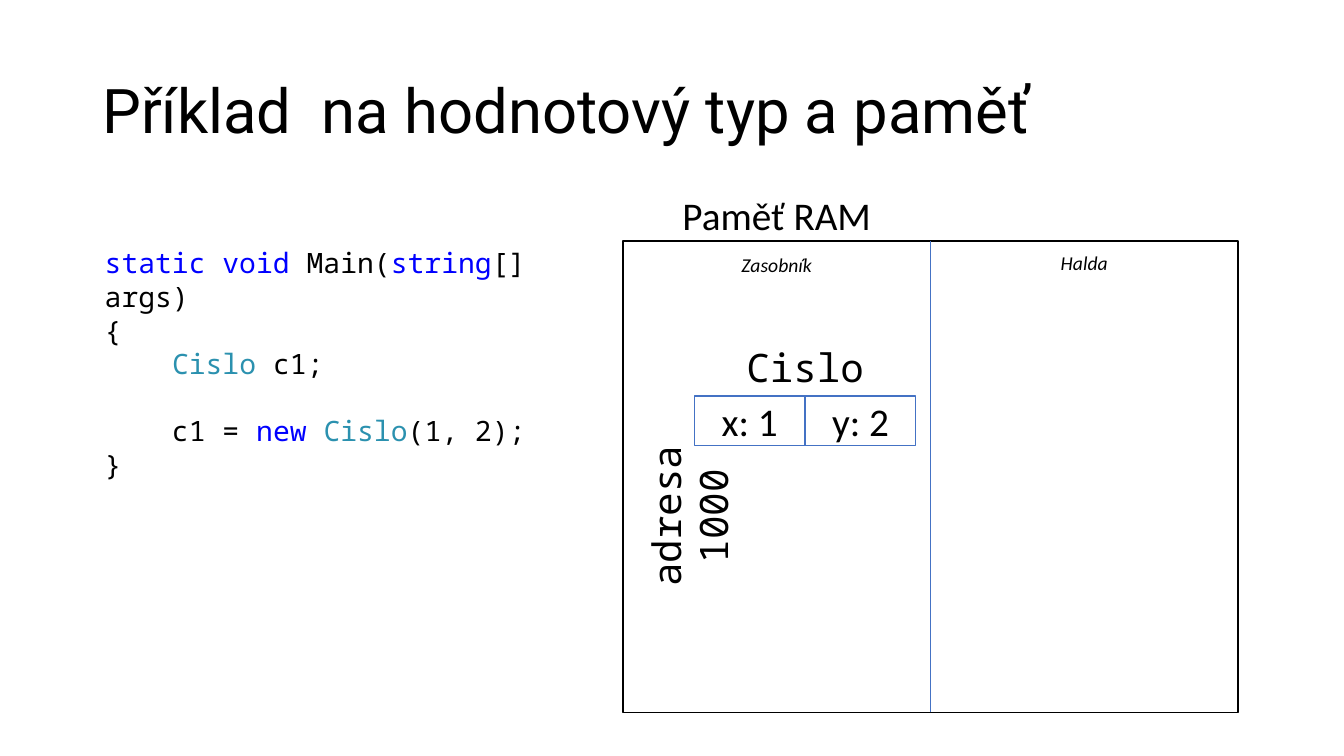
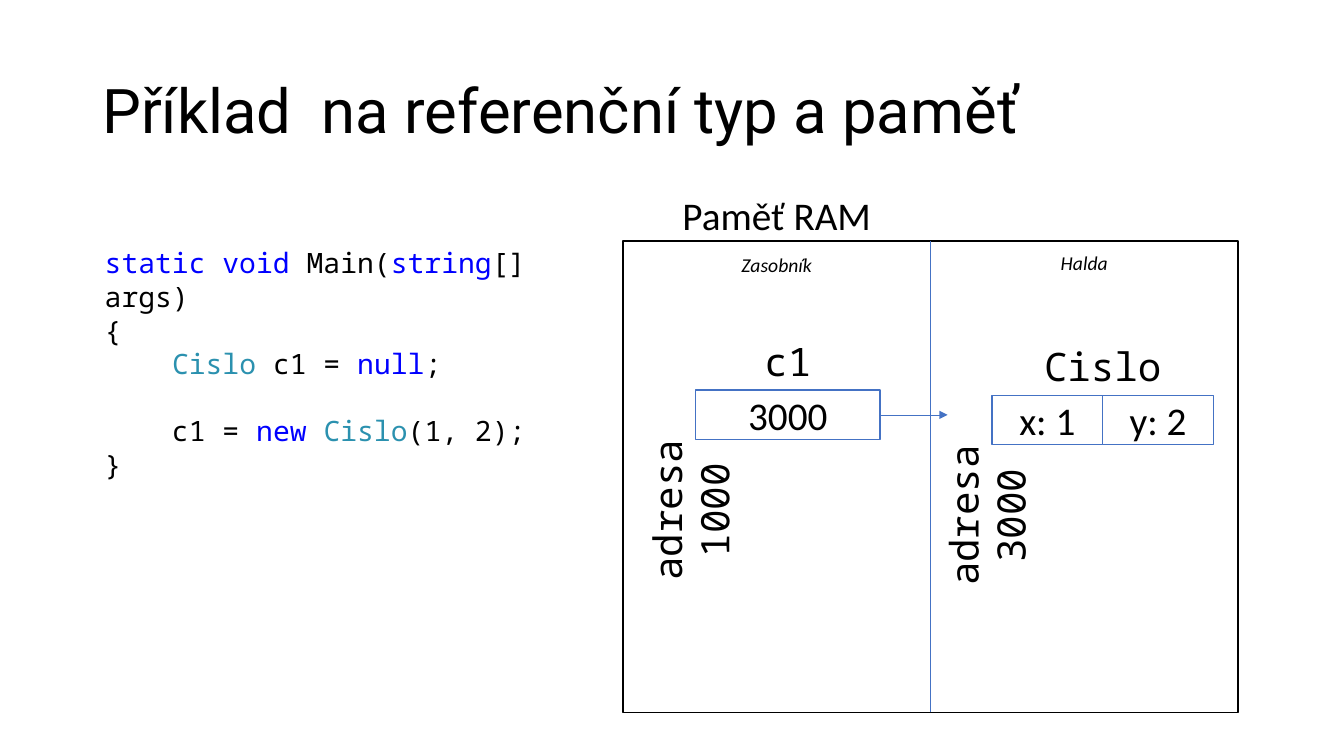
import pptx
import pptx.util
import pptx.dml.color
import pptx.enum.shapes
import pptx.enum.text
import pptx.oxml
import pptx.oxml.ns

Cm, Pt = pptx.util.Cm, pptx.util.Pt
RGBColor = pptx.dml.color.RGBColor
ALIGN = pptx.enum.text.PP_ALIGN
ANCHOR = pptx.enum.text.MSO_ANCHOR
RECT = pptx.enum.shapes.MSO_SHAPE.RECTANGLE
LINE = pptx.enum.shapes.MSO_CONNECTOR.STRAIGHT

BLACK = RGBColor(0x00, 0x00, 0x00)
WHITE = RGBColor(0xFF, 0xFF, 0xFF)
BLUE = RGBColor(0x44, 0x72, 0xC4)
KEY = RGBColor(0x00, 0x00, 0xFF)
TYPE = RGBColor(0x2B, 0x91, 0xAF)
BODY, MONO, HEAD = "Calibri", "Noto Sans Mono", "Roboto"

# Content: code lines are lists of (text, colour) pairs
START = [
    [("static void", KEY), (" Main(", BLACK), ("string", KEY), ("[] args)", BLACK)],
    [("{", BLACK)],
]
FINISH = [
    [("    c1 = ", BLACK), ("new ", KEY), ("Cislo", TYPE), ("(1, 2);", BLACK)],
    [("}", BLACK)],
]
PAGES = [
    {
        "title": "Příklad  na hodnotový typ a paměť",
        "code": [[("    ", BLACK), ("Cislo", TYPE), (" c1;", BLACK)]],
        # name, address, cells, left, top, cell width
        "items": [("Cislo", "adresa 1000", ["x: 1", "y: 2"], 17.5, 9.98, 2.79)],
        "arrow": False,
    },
    {
        "title": "Příklad  na referenční typ a paměť",
        "code": [[("    ", BLACK), ("Cislo", TYPE), (" c1 = ", BLACK),
                  ("null", KEY), (";", BLACK)]],
        "items": [
            ("c1", "adresa 1000", ["3000"], 17.53, 9.83, 4.65),
            ("Cislo", "adresa 3000", ["x: 1", "y: 2"], 25, 9.96, 2.79),
        ],
        "arrow": True,
    },
]

# Memory frame and item sizes in centimetres
LEFT, TOP, WIDTH, HEIGHT = 15.7, 6.07, 15.5, 11.88
CELL, LABEL, TURN = 1.25, 1.45, 6.9
ARROW = 1.7


def style(run, size, face, color=BLACK, slant=False):
    font = run.font
    font.size, font.name, font.italic = Pt(size), face, slant
    font.color.rgb = color


def write(slide, text, box, size, face, align=ALIGN.LEFT, slant=False):
    shape = slide.shapes.add_textbox(*map(Cm, box))
    frame = shape.text_frame
    frame.word_wrap = True
    frame.text = text
    para = frame.paragraphs[0]
    para.alignment = align
    style(para.runs[0], size, face, slant=slant)
    return shape


def draw_box(slide, box, color, text=""):
    shape = slide.shapes.add_shape(RECT, *map(Cm, box))
    shape.shadow.inherit = False
    shape.fill.solid()
    shape.fill.fore_color.rgb = WHITE
    shape.line.color.rgb = color
    shape.line.width = Pt(1)
    if text:
        frame = shape.text_frame
        frame.text = text
        frame.vertical_anchor = ANCHOR.MIDDLE
        para = frame.paragraphs[0]
        para.alignment = ALIGN.CENTER
        style(para.runs[0], 28, BODY)
    return shape


def draw_line(slide, ends, head=False):
    line = slide.shapes.add_connector(LINE, *map(Cm, ends))
    line.line.color.rgb = BLUE
    line.line.width = Pt(0.5)
    make = pptx.oxml.ns.qn
    if head:
        tip = line.line._get_or_add_ln().makeelement(make("a:tailEnd"), {"type": "triangle"})
        line.line._get_or_add_ln().append(tip)
    props = line._element.spPr
    props.append(props.makeelement(make("a:effectLst"), {}))
    return line


def write_code(slide, lines):
    shape = slide.shapes.add_textbox(Cm(2.39), Cm(TOP), Cm(13.26), Cm(5.38))
    frame = shape.text_frame
    frame.word_wrap = True
    rows = START + lines + FINISH
    for num, row in enumerate(rows):
        para = frame.add_paragraph() if num else frame.paragraphs[0]
        if row is FINISH[0]:
            para.space_before = Pt(24)
        for text, color in row:
            run = para.add_run()
            run.text = text
            style(run, 20, MONO, color)


def draw_frame(slide):
    frame = draw_box(slide, (LEFT, TOP, WIDTH, HEIGHT), BLACK)
    half = WIDTH / 2
    mid = LEFT + half
    split = draw_line(slide, (mid, TOP + HEIGHT, mid, TOP))
    split.begin_connect(frame, 2)
    split.end_connect(frame, 0)
    write(slide, "Paměť RAM", (16.95, 4.7, 14.6, LABEL), 28, BODY)
    for text, left, top in (("Zasobník", LEFT, 6.25), ("Halda", mid, 6.2)):
        write(slide, text, (left, top, half, 0.86), 14, BODY, ALIGN.CENTER, True)


def draw_item(slide, name, place, cells, left, top, width):
    span = width * len(cells)
    write(slide, name, (left, top - LABEL, span, LABEL), 28, MONO, ALIGN.CENTER)
    # The turned address is centred below and to the left of the cells
    across, down = left - LABEL / 2, top + CELL + 1.78
    note = write(slide, place, (across - TURN / 2, down - LABEL / 2, TURN, LABEL),
                 28, MONO, ALIGN.CENTER)
    note.rotation = 270
    return [draw_box(slide, (left + num * width, top, width, CELL), BLUE, text)
            for num, text in enumerate(cells)]


def build(deck, page):
    slide = deck.slides.add_slide(deck.slide_layouts[6])
    title = write(slide, page["title"], (2.33, 1.01, 29.21, 3.68), 44, HEAD)
    title.text_frame.vertical_anchor = ANCHOR.MIDDLE
    title.text_frame.paragraphs[0].line_spacing = 0.9
    draw_frame(slide)
    write_code(slide, page["code"])
    drawn = [draw_item(slide, *item) for item in page["items"]]
    if page["arrow"]:
        left, top, width = page["items"][0][3:]
        start, level = left + width, top + CELL / 2
        arrow = draw_line(slide, (start, level, start + ARROW, level), True)
        arrow.begin_connect(drawn[0][-1], 3)


def main():
    deck = pptx.Presentation()
    deck.slide_width, deck.slide_height = Cm(33.87), Cm(19.05)
    for page in PAGES:
        build(deck, page)
    deck.save("out.pptx")


if __name__ == "__main__":
    main()
